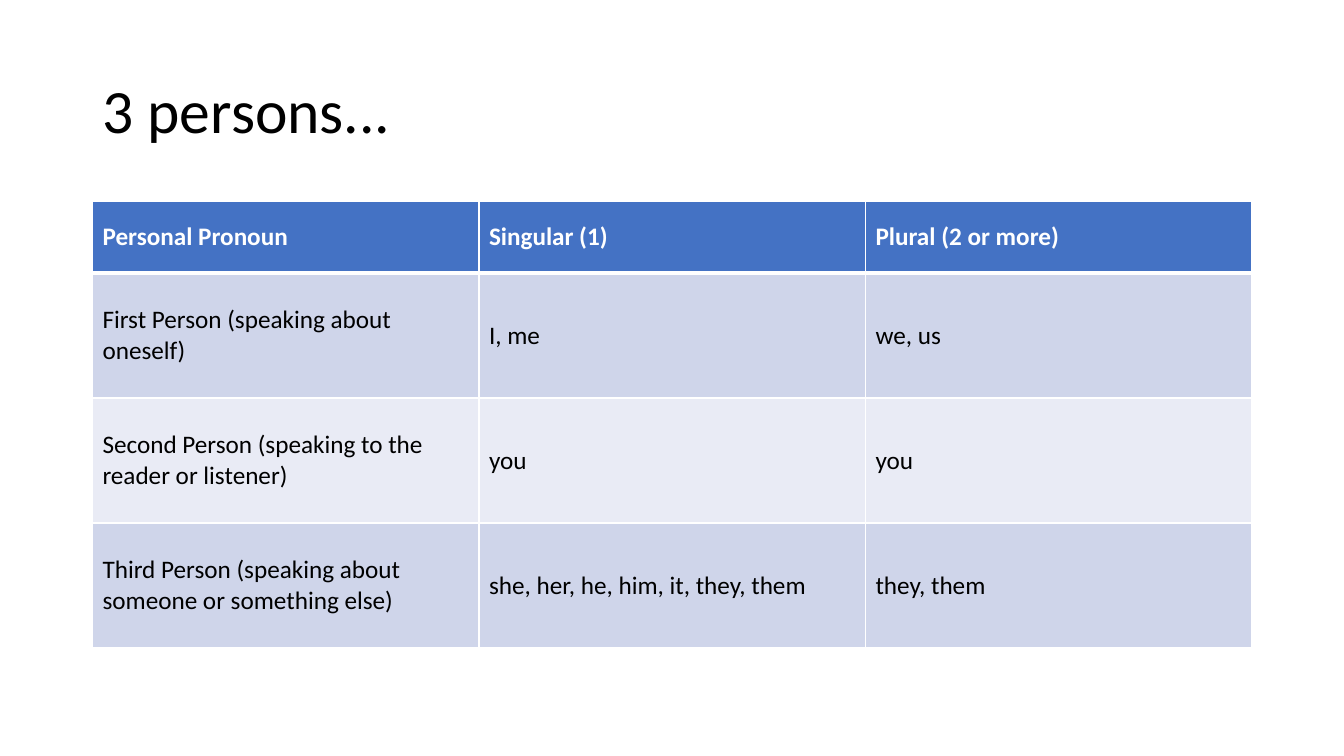
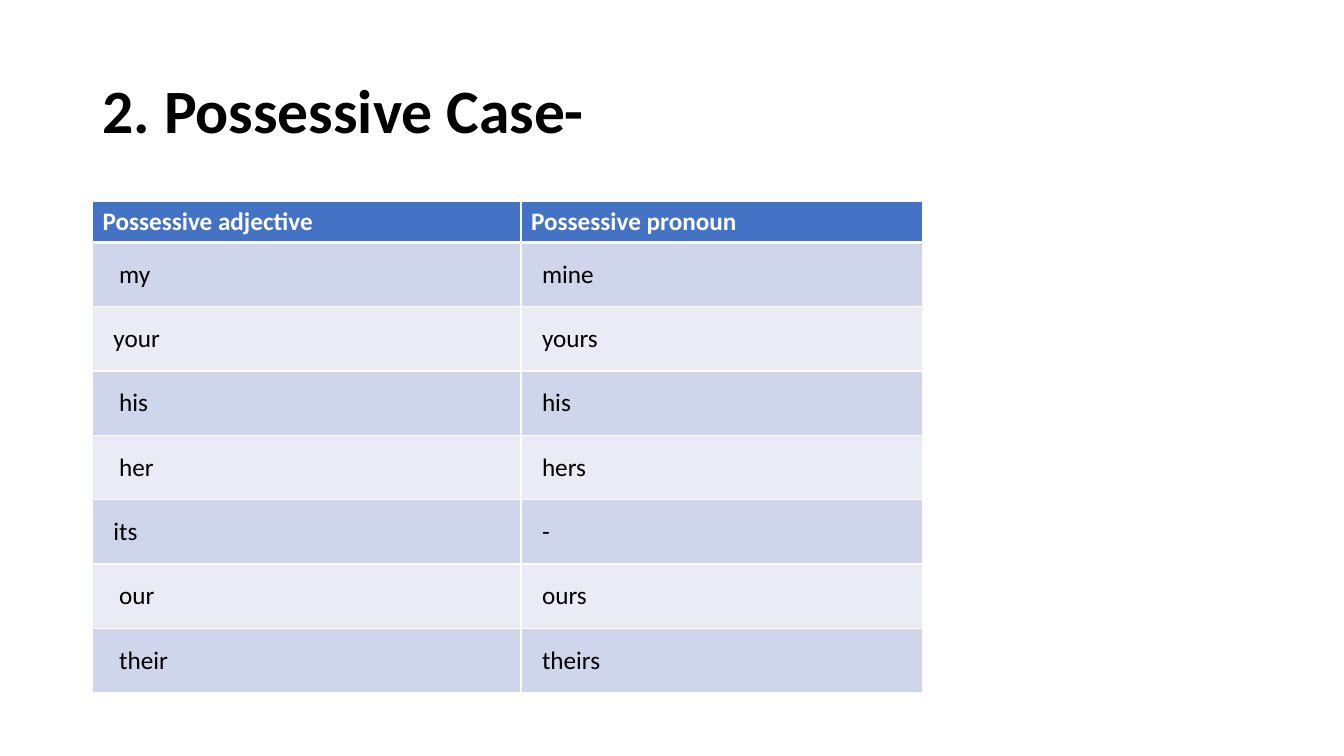
from dataclasses import dataclass
from typing import Any

import lxml.etree
import pptx
import pptx.dml.color
import pptx.enum.text
import pptx.oxml.ns
import pptx.util

Cm = pptx.util.Cm
Pt = pptx.util.Pt
Anchor = pptx.enum.text.MSO_ANCHOR

# Shared style
COLORS = {
    "title": "000000",
    "header": "4472C4",
    "header_text": "FFFFFF",
    "band_dark": "CFD5EA",
    "band_light": "E9EBF5",
    "body_text": "000000",
    "border": "FFFFFF",
}
FONT_NAME = "Calibri"
LEFT = Cm(2.33)
TITLE_BOX = {"left": LEFT, "top": Cm(1.01), "width": Cm(29.21), "height": Cm(3.68)}
TITLE_FRAME = {
    "word_wrap": True,
    "auto_size": pptx.enum.text.MSO_AUTO_SIZE.NONE,
    "vertical_anchor": Anchor.MIDDLE,
}
TITLE_PARAGRAPH = {"alignment": pptx.enum.text.PP_ALIGN.LEFT, "line_spacing": 0.9}
TABLE_TOP = Cm(5.08)
THIN_BORDER, THICK_BORDER = Pt(1), Pt(3)
WIDE_MARGINS = {
    "margin_left": Cm(0.53),
    "margin_right": Cm(0.53),
    "margin_top": Cm(0.42),
    "margin_bottom": Cm(0.42),
}


@dataclass(frozen=True)
class TableSlide:
    title: str
    title_bold: bool
    column_widths: tuple[float, ...]
    header_height: float
    row_height: float
    header_format: dict[str, Any]
    body_format: dict[str, Any]
    rows: tuple[tuple[str, ...], ...]


TABLE_SLIDES = (
    TableSlide(
        title="3 persons...",
        title_bold=False,
        column_widths=(9.74, 9.74, 9.74),
        header_height=1.8,
        row_height=3.15,
        header_format={"vertical_anchor": Anchor.MIDDLE},
        body_format={"vertical_anchor": Anchor.MIDDLE},
        rows=(
            ("Personal Pronoun", "Singular\u00a0(1)", "Plural\u00a0(2 or more)"),
            ("First Person\u00a0(speaking about oneself)", "I, me", "we, us"),
            ("Second Person\u00a0(speaking to the reader or listener)", "you", "you"),
            (
                "Third Person\u00a0(speaking about someone or something else)",
                "she, her, he, him, it, they, them",
                "they, them",
            ),
        ),
    ),
    TableSlide(
        title="2. Possessive Case-",
        title_bold=True,
        column_widths=(10.8, 10.13),
        header_height=1.02,
        row_height=1.62,
        header_format={"vertical_anchor": Anchor.TOP},
        body_format={"vertical_anchor": Anchor.MIDDLE, **WIDE_MARGINS},
        rows=(
            ("Possessive adjective\u00a0", "Possessive pronoun"),
            ("\u00a0my", "mine"),
            ("your", "yours"),
            ("\u00a0his", "his"),
            ("\u00a0her", "hers"),
            ("its", "-"),
            ("\u00a0our", "ours"),
            ("\u00a0their", "theirs"),
        ),
    ),
)


def apply_format(target: Any, values: dict[str, Any]) -> None:
    for name, value in values.items():
        setattr(target, name, value)


def format_font(font: Any, size: int, bold: bool, color: str) -> None:
    apply_format(font, {"name": FONT_NAME, "size": Pt(size), "bold": bold})
    font.color.rgb = pptx.dml.color.RGBColor.from_string(COLORS[color])


def add_title(slide: Any, text: str, bold: bool) -> None:
    title = slide.shapes.title
    apply_format(title, TITLE_BOX)
    apply_format(title.text_frame, TITLE_FRAME)
    title.text_frame.text = text
    paragraph = title.text_frame.paragraphs[0]
    apply_format(paragraph, TITLE_PARAGRAPH)
    format_font(paragraph.runs[0].font, 44, bold, "title")


def add_borders(cell: Any, row_index: int) -> None:
    """Draw the cell's edges, with a thick rule under the header row."""
    widths = {
        "a:lnL": THIN_BORDER,
        "a:lnR": THIN_BORDER,
        "a:lnT": THICK_BORDER if row_index == 1 else THIN_BORDER,
        "a:lnB": THICK_BORDER if row_index == 0 else THIN_BORDER,
    }
    qualified = pptx.oxml.ns.qn
    properties = cell._tc.get_or_add_tcPr()
    for tag, width in widths.items():
        line = lxml.etree.SubElement(properties, qualified(tag), w=str(int(width)))
        fill = lxml.etree.SubElement(line, qualified("a:solidFill"))
        lxml.etree.SubElement(fill, qualified("a:srgbClr"), val=COLORS["border"])


def fill_cell(cell: Any, text: str, row_index: int, cell_format: dict[str, Any]) -> None:
    is_header = row_index == 0
    band = "header" if is_header else ("band_light", "band_dark")[row_index % 2]
    apply_format(cell, cell_format)
    add_borders(cell, row_index)
    cell.fill.solid()
    cell.fill.fore_color.rgb = pptx.dml.color.RGBColor.from_string(COLORS[band])
    cell.text = text
    font = cell.text_frame.paragraphs[0].runs[0].font
    format_font(font, 18, is_header, "header_text" if is_header else "body_text")


def add_table(slide: Any, content: TableSlide) -> None:
    row_count = len(content.rows)
    heights = [content.header_height] + [content.row_height] * (row_count - 1)
    table = slide.shapes.add_table(
        row_count,
        len(content.column_widths),
        LEFT,
        TABLE_TOP,
        Cm(sum(content.column_widths)),
        Cm(sum(heights)),
    ).table
    for column, width in zip(table.columns, content.column_widths):
        column.width = Cm(width)
    for row_index, (row, texts) in enumerate(zip(table.rows, content.rows)):
        row.height = Cm(heights[row_index])
        cell_format = content.body_format if row_index else content.header_format
        for cell, text in zip(row.cells, texts):
            fill_cell(cell, text, row_index, cell_format)


# Build the presentation
presentation = pptx.Presentation()
apply_format(presentation, {"slide_width": Cm(33.87), "slide_height": Cm(19.05)})
title_only_layout = presentation.slide_layouts.get_by_name("Title Only")
for table_slide in TABLE_SLIDES:
    slide = presentation.slides.add_slide(title_only_layout)
    add_title(slide, table_slide.title, table_slide.title_bold)
    add_table(slide, table_slide)
presentation.save("out.pptx")
